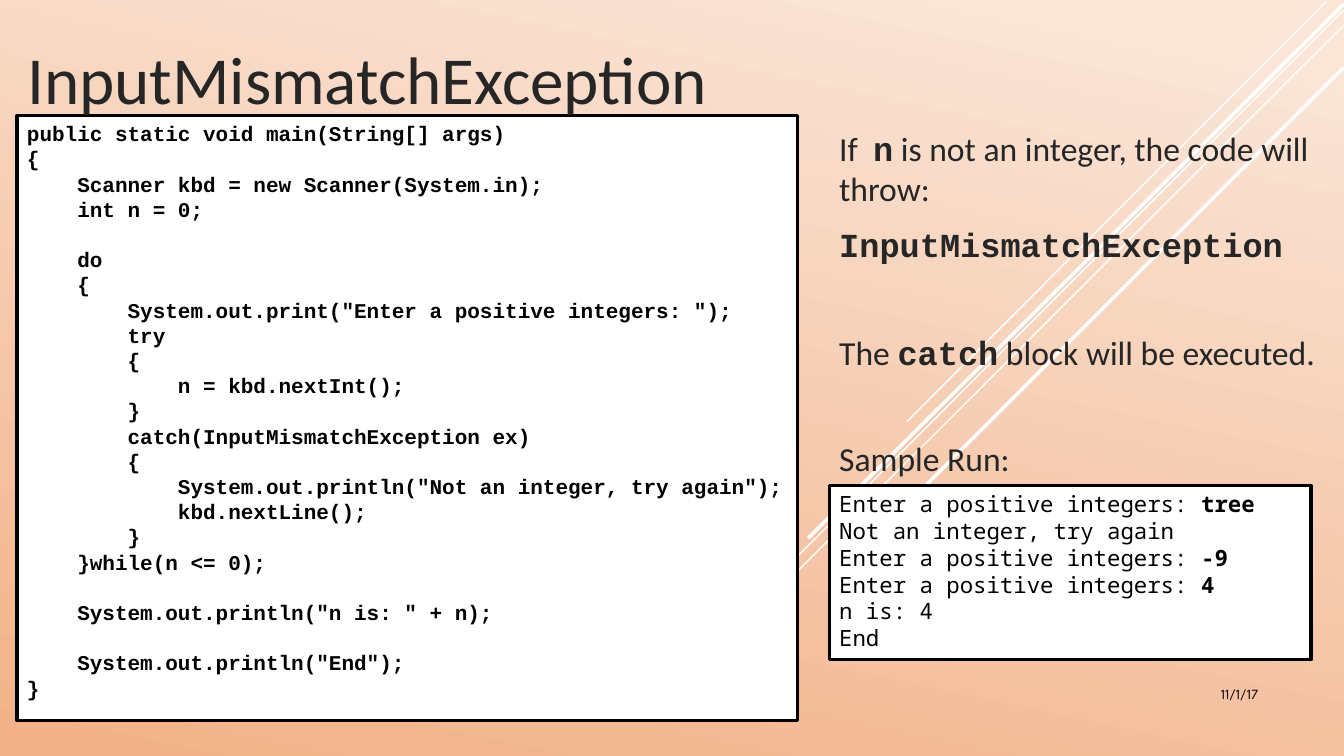
from lxml import etree
from pptx import Presentation
from pptx.dml.color import RGBColor
from pptx.enum.shapes import MSO_CONNECTOR, MSO_SHAPE
from pptx.enum.text import MSO_ANCHOR, MSO_AUTO_SIZE, PP_ALIGN
from pptx.oxml.ns import qn
from pptx.util import Cm, Pt

LINE, RECT = MSO_CONNECTOR.STRAIGHT, MSO_SHAPE.RECTANGLE
TOP, LOW = MSO_ANCHOR.TOP, MSO_ANCHOR.BOTTOM
LEFT, RIGHT = PP_ALIGN.LEFT, PP_ALIGN.RIGHT
FIXED = MSO_AUTO_SIZE.NONE

# Content: a paragraph is a list of (text, bold) runs
TITLE = "InputMismatchException"
DATE = "11/1/17"
CODE = """public static void main(String[] args)
{
    Scanner kbd = new Scanner(System.in);
    int n = 0;

    do
    {
        System.out.print("Enter a positive integers: ");
        try
        {
            n = kbd.nextInt();
        }
        catch(InputMismatchException ex)
        {
            System.out.println("Not an integer, try again");
            kbd.nextLine();
        }
    }while(n <= 0);

    System.out.println("n is: " + n);

    System.out.println("End");
}"""
NOTES = [
    [("If  ", False), ("n", True),
     (" is not an integer, the code will throw:", False)],
    [("InputMismatchException", True)],
    [("The ", False), ("catch", True), (" block will be executed.", False)],
]
SAMPLE = "Sample Run:"
ASK = "Enter a positive integers: "
RUN = [(ASK, False), ("tree\n", True),
       ("Not an integer, try again\n" + ASK, False), ("-9\n", True),
       (ASK, False), ("4\n", True), ("n is: 4\nEnd", False)]

# Diagonal rays: start x, start y, end x, end y in cm, width in points
RAYS = [
    (33.43, 0.03, 22.86, 10.62, 1),
    (33.86, 0.25, 16.97, 17.15, 1),
    (33.86, 0.64, 20.09, 14.4, 1),
    (33.86, 0.1, 20.37, 13.56, 2.5),
    (33.86, 1.7, 21.79, 13.77, 2.5),
]
COLORS = {"pale": "FAE5D7", "peach": "F1B187", "white": "FFFFFF",
          "black": "000000", "ink": "262626"}
BODY, MONO, TERM, SMALL = ("Calibri", "Courier New", "Noto Sans Mono",
                           "League Spartan")


def color(name):
    return RGBColor.from_string(COLORS[name])


def write(shape, paras, size, font=BODY, strong=None, ink="ink", align=LEFT,
          anchor=TOP, pitch=None, before=(0,), after=0):
    frame = shape.text_frame
    frame.word_wrap = True
    frame.auto_size = FIXED
    frame.vertical_anchor = anchor
    for i, runs in enumerate(paras):
        para = frame.paragraphs[0] if i == 0 else frame.add_paragraph()
        para.alignment = align
        para.space_before = Pt(before[i])
        para.space_after = Pt(after)
        if pitch:
            para.line_spacing = Pt(pitch)
        for text, bold in runs:
            for j, part in enumerate(text.split("\n")):
                if j:
                    para.add_line_break()
                if part:
                    run = para.add_run()
                    run.text = part
                    run.font.name = strong if bold and strong else font
                    run.font.size = Pt(size)
                    run.font.bold = bold
                    run.font.color.rgb = color(ink)


def panel(shapes, *box):
    shape = shapes.add_shape(RECT, *map(Cm, box))
    shape.shadow.inherit = False
    shape.fill.solid()
    shape.fill.fore_color.rgb = color("white")
    shape.line.color.rgb = color("black")
    shape.line.width = Pt(2.25)
    return shape


def label(shapes, *box):
    return shapes.add_textbox(*map(Cm, box))


def main():
    prs = Presentation()
    prs.slide_width, prs.slide_height = Cm(33.87), Cm(19.05)
    slide = prs.slides.add_slide(prs.slide_layouts[5])
    shapes = slide.shapes

    # Background
    fill = slide.background.fill
    fill.gradient()
    fill.gradient_angle = 258
    for stop, name, pos in zip(fill.gradient_stops, ("pale", "peach"),
                               (0.07, 1)):
        stop.color.rgb = color(name)
        stop.position = pos

    # Rays
    for *ends, width in RAYS:
        ray = shapes.add_connector(LINE, *map(Cm, ends))
        ray.line.color.rgb = color("white")
        ray.line.width = Pt(width)
        etree.SubElement(ray.element.spPr, qn("a:effectLst"))

    # Date and code
    write(label(shapes, 27.51, 17.15, 4.45, 1.02), [[(DATE, False)]], 10,
          SMALL, ink="black", align=RIGHT)
    write(panel(shapes, 0.43, 2.92, 19.66, 15.24), [[(CODE, True)]], 15,
          MONO, ink="black", pitch=18)

    # Notes
    write(label(shapes, 20.9, 3.1, 12.57, 8.36), NOTES, 24, strong=MONO,
          before=(0, 4.8, 42.5), after=6)

    # Title, in front of the code panel
    title = shapes.title
    title.left, title.top, title.width, title.height = map(
        Cm, (0.43, 0.48, 22.23, 2.62))
    write(title, [[(TITLE, False)]], 48, anchor=LOW)
    title.element.getparent().append(title.element)

    # Sample run
    write(panel(shapes, 20.9, 12.24, 12.14, 4.39), [RUN], 16, TERM,
          ink="black", pitch=19.1)
    write(label(shapes, 20.9, 10.92, 5.36, 1.65), [[(SAMPLE, False)]], 24)

    prs.save("out.pptx")


if __name__ == "__main__":
    main()
